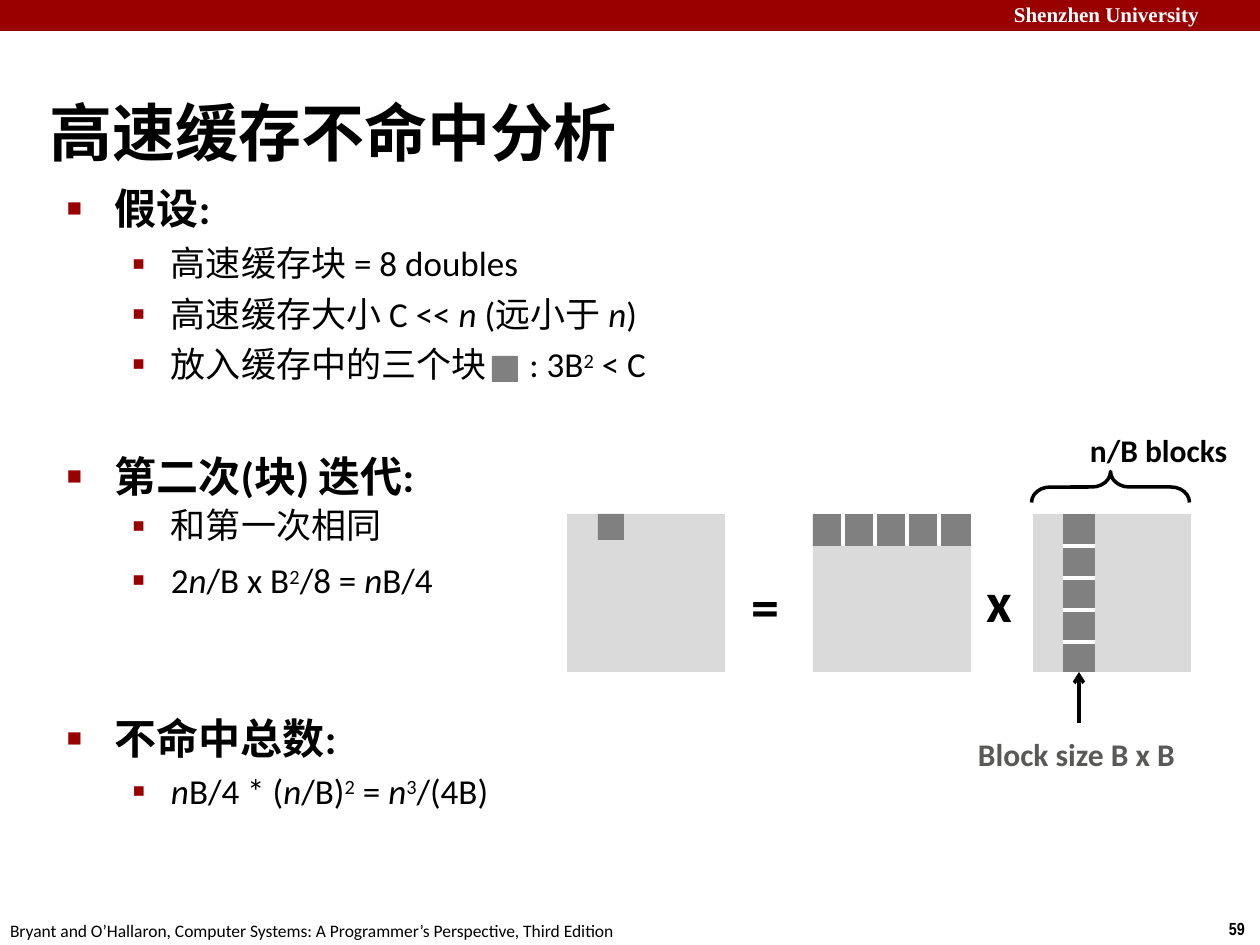
from lxml import etree
from pptx import Presentation
from pptx import util as u
from pptx.dml.color import RGBColor
from pptx.enum import shapes, text
from pptx.oxml import ns

PX = 914400 / 126
COLORS = {"red": "990000", "black": "000000", "white": "FFFFFF",
          "matrix": "DADADA", "block": "808080", "label": "595958"}
# bullet character, size in percent
HEADING_BULLET = ("■", 60)
ITEM_BULLET = ("▪", 110)

deck = Presentation()
deck.slide_width, deck.slide_height = u.Inches(10), u.Inches(7.5)
page = deck.slides.add_slide(deck.slide_layouts[6])


def add_text(area, lines, size=20, color="black", font="Calibri", bold=False,
             bullet=None, margin=0, hang=0, before=0, box=None):
    """Write lines, each a list of (text, style) spans; reuse box if given."""
    fresh = box is None
    if fresh:
        box = page.shapes.add_textbox(*[u.Emu(round(v * PX)) for v in area])
        frame = box.text_frame
        frame.word_wrap = True
        frame.margin_left = frame.margin_right = 0
        frame.margin_top = frame.margin_bottom = 0
    for number, line in enumerate(lines):
        first = fresh and number == 0
        para = box.text_frame.paragraphs[0] if first else box.text_frame.add_paragraph()
        if not first:
            para.space_before = u.Pt(before)
        if bullet:
            props = para._p.get_or_add_pPr()
            props.set("marL", str(round(margin * PX)))
            props.set("indent", str(round(-hang * PX)))
            tint = etree.SubElement(props, ns.qn("a:buClr"))
            etree.SubElement(tint, ns.qn("a:srgbClr"), val=COLORS["red"])
            etree.SubElement(props, ns.qn("a:buSzPct"), val=str(bullet[1] * 1000))
            etree.SubElement(props, ns.qn("a:buFont"), typeface="Arial")
            etree.SubElement(props, ns.qn("a:buChar"), char=bullet[0])
        for words, style in line:
            span = para.add_run()
            span.text = words
            span.font.name, span.font.size = font, u.Pt(size)
            span.font.bold, span.font.italic = bold, style == "italic"
            span.font.color.rgb = RGBColor.from_string(COLORS[color])
            if style == "super":
                span._r.get_or_add_rPr().set("baseline", "26000")
            elif style == "gap":
                span._r.get_or_add_rPr().set("spc", "2000")
    return box


def add_mark(kind, area, color, weight=0):
    """Add a filled rectangle, an outlined brace or a straight line."""
    points = [u.Emu(round(v * PX)) for v in area]
    if kind == "line":
        mark = page.shapes.add_connector(shapes.MSO_CONNECTOR.STRAIGHT, *points)
        etree.SubElement(mark._element.spPr, ns.qn("a:effectLst"))
    else:
        mark = page.shapes.add_shape(kind, *points)
        mark.shadow.inherit = False
        if weight:
            mark.fill.background()
        else:
            mark.fill.solid()
            mark.fill.fore_color.rgb = RGBColor.from_string(COLORS[color])
            mark.line.fill.background()
    if weight:
        mark.line.color.rgb = RGBColor.from_string(COLORS[color])
        mark.line.width = u.Pt(weight)
    return mark


RECT = shapes.MSO_SHAPE.RECTANGLE

# Header band and footer
add_mark(RECT, (0, 0, 1260, 31), "red")
add_text((1014, 2, 240, 26), [[("Shenzhen University", "")]], size=12,
         color="white", font="Times New Roman", bold=True)
add_text((1229, 918, 31, 22), [[("59", "")]], size=10, font="Arial Narrow", bold=True)
add_text((10, 920, 700, 22), [[(
    "Bryant and O’Hallaron, Computer Systems: A Programmer’s Perspective, Third Edition",
    "")]], size=10)

# Title
title = add_text((50, 93, 1046, 77), [[("高速缓存不命中分析", "")]], size=36, bold=True)
title.text_frame.vertical_anchor = text.MSO_ANCHOR.MIDDLE

# Section headings
headings = [add_text((66, top, width, 50), [[(words, "")]], size=24, bold=True,
                     bullet=HEADING_BULLET, margin=49, hang=48)
            for words, top, width in (("假设:", 183, 669),
                                      ("第二次(块) 迭代:", 451, 479),
                                      ("不命中总数:", 713, 277))]

# Assumptions, under the first heading
add_text(None, [
    [("高速缓存块 = 8 doubles", "")],
    [("高速缓存大小 C << ", ""), ("n ", "italic"), ("(远小于 ", ""),
     ("n", "italic"), (")", "")],
    [("放入缓存中的三个块", ""), (" ", "gap"), (": 3B", ""), ("2", "super"),
     (" < C", "")],
], bullet=ITEM_BULLET, margin=105, hang=39, before=4.8, box=headings[0])

# Second iteration and total
add_text((129, 504, 355, 98), [
    [("和第一次相同", "")],
    [("2", ""), ("n", "italic"), ("/B x B", ""), ("2", "super"), ("/8 = ", ""),
     ("n", "italic"), ("B/4", "")],
], bullet=ITEM_BULLET, margin=42, hang=39, before=7)
add_text((129, 769, 400, 43), [
    [("n", "italic"), ("B/4 * (", ""), ("n", "italic"), ("/B)", ""), ("2", "super"),
     (" = ", ""), ("n", "italic"), ("3", "super"), ("/(4B)", "")],
], bullet=ITEM_BULLET, margin=42, hang=39)

# Matrices and their highlighted blocks
SIDE, TOP, CELL = 158, 514, 32
for left in (567, 813, 1033):
    add_mark(RECT, (left, TOP, SIDE, SIDE), "matrix")
add_mark(RECT, (598, TOP, 26, 26), "block")
add_mark(RECT, (813, TOP, SIDE, CELL), "block")
column = add_mark(RECT, (1063, TOP, CELL, SIDE), "block")
add_mark(RECT, (492, 356, 26, 26), "block")

# Block dividers
for step in range(1, 5):
    x, y = 811 + step * CELL, TOP + step * CELL
    add_mark("line", (x, TOP, x, TOP + CELL), "white", 2)
    add_mark("line", (1063, y, 1063 + CELL, y), "white", 2)

# Operators
for sign, left, top in (("=", 752, 572), ("x", 987, 567)):
    add_text((left, top, 40, 60), [[(sign, "")]], size=32, bold=True)

# Brace over the last matrix
brace = add_mark(shapes.MSO_SHAPE.LEFT_BRACE, (1095, 408, 31, SIDE), "black", 2)
brace.adjustments[0] = 0.6
brace.rotation = 90
add_text((1090, 431, 160, 36), [[("n/B blocks", "")]], size=18, bold=True)

# Arrow to the block column
arrow = add_mark("line", (1079, 723, 1079, TOP + SIDE), "black", 2)
arrow.end_connect(column, 2)
etree.SubElement(arrow.line._get_or_add_ln(), ns.qn("a:tailEnd"), type="arrow")
add_text((978, 735, 220, 36), [[("Block size B x B", "")]], size=18,
         color="label", bold=True)

deck.save("out.pptx")
